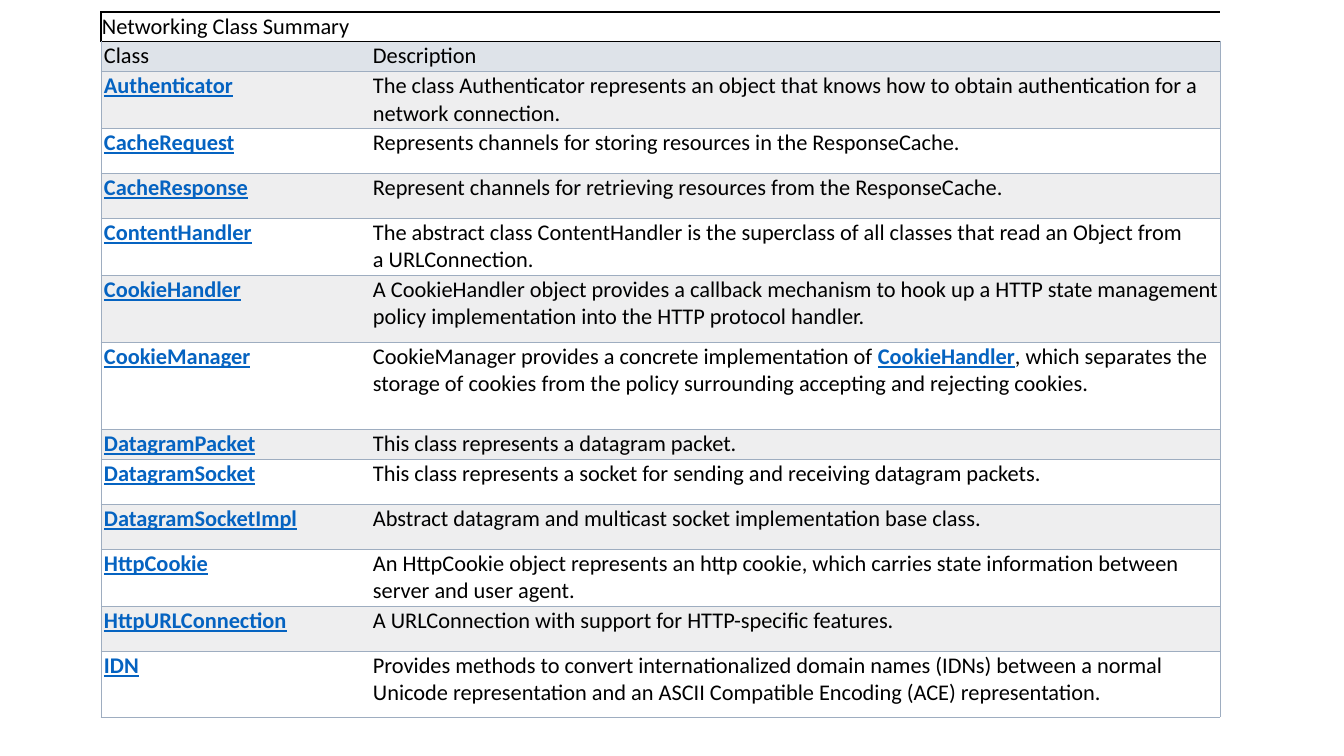
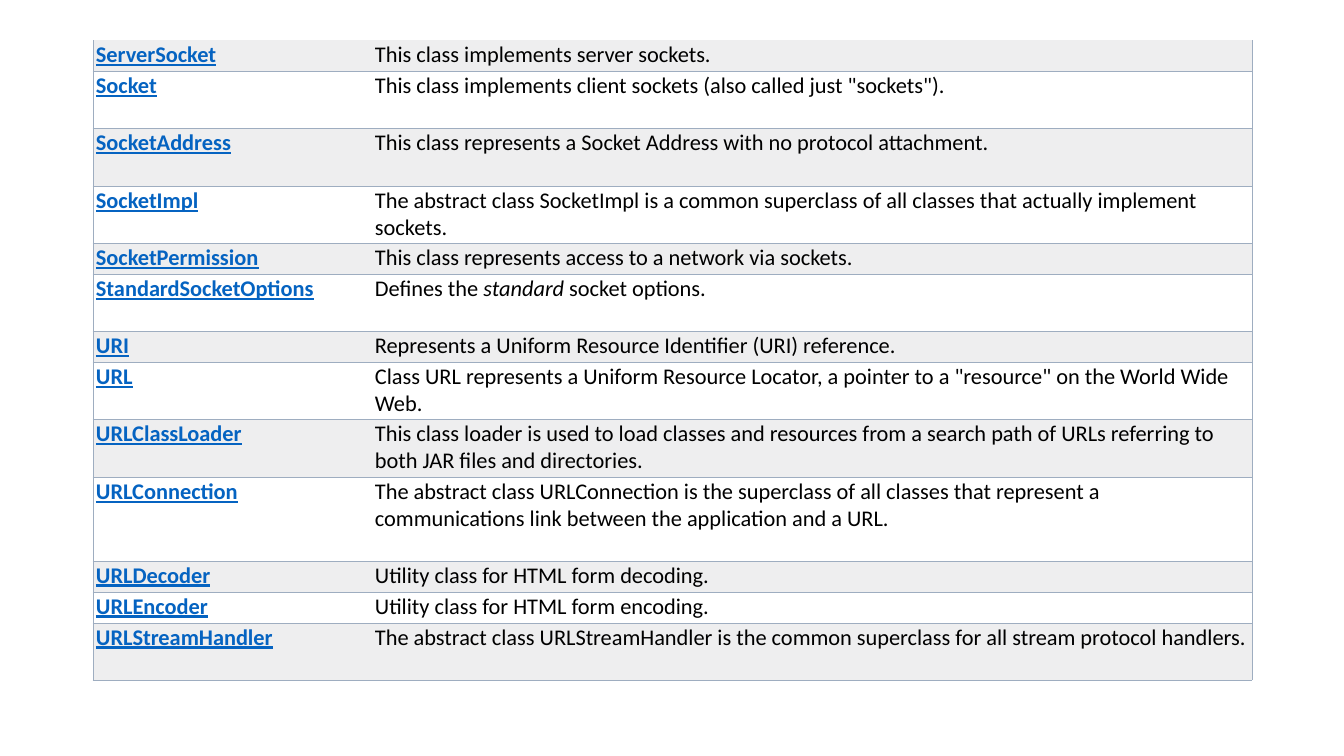
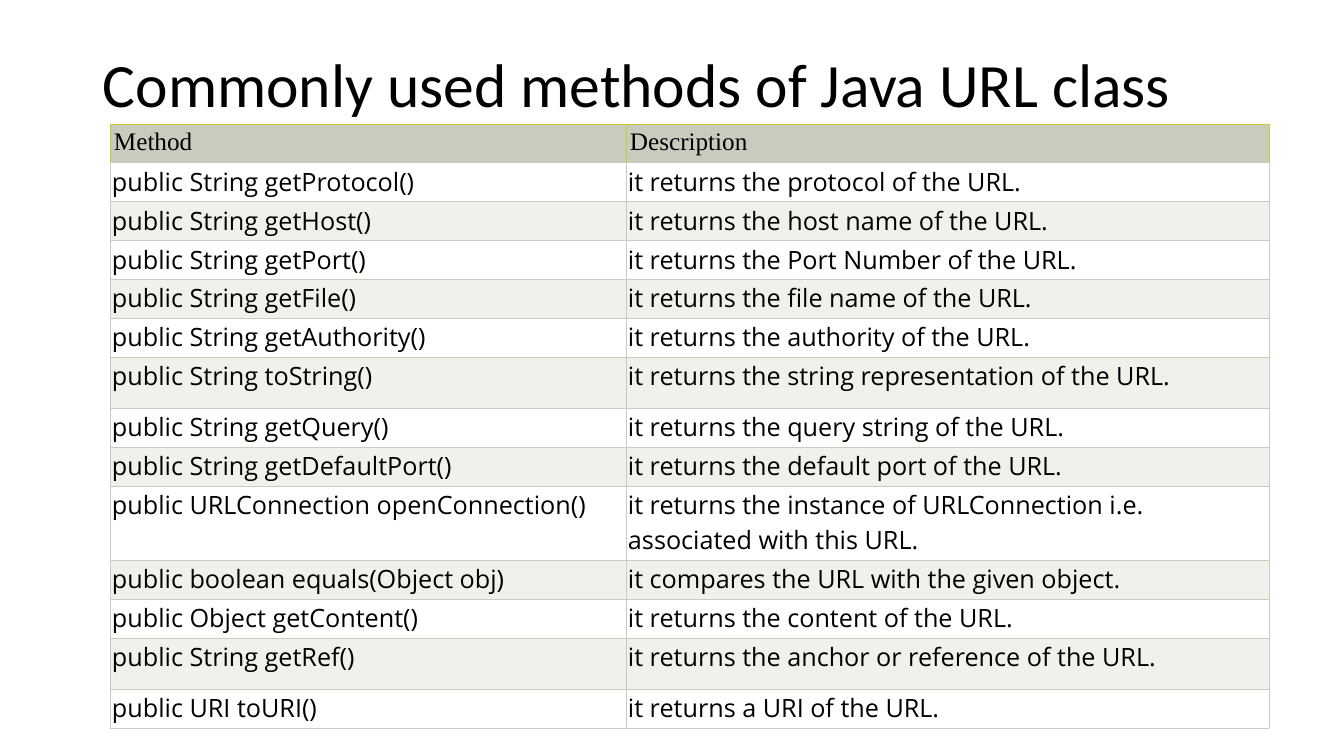
import dataclasses

import lxml.etree
import pptx
import pptx.dml.color
import pptx.enum.text
import pptx.oxml.ns
import pptx.util

EMU_PER_PIXEL = 914400 / 100.8
PLAIN_TABLE_STYLE = "{2D5ABB26-0587-4C30-8999-92F81FD0307C}"
BLACK, WHITE = "000000", "FFFFFF"
CLASS_RULE, CLASS_HEADER, CLASS_BANDS = "9EADC0", "DEE3E9", ("EEEEEF", WHITE)
METHOD_RULE, METHOD_HEADER_RULE, METHOD_BANDS = "C7CCBE", "D0C72D", (WHITE, "EFF1EB")

BODY = {"name": "Calibri", "size": pptx.util.Pt(16), "color": BLACK}
LINK = BODY | {"color": "0563C1", "bold": True, "underline": True}
ITALIC = BODY | {"italic": True}
TITLE = BODY | {"size": pptx.util.Pt(44)}
METHOD = BODY | {"name": "Open Sans", "size": pptx.util.Pt(18)}
METHOD_HEADER = METHOD | {"name": "Times New Roman"}


@dataclasses.dataclass
class Row:
    """One table row: height and margin in pixels, with a format and edges per column."""
    height: int
    cells: tuple
    fill: str
    formats: tuple
    edges: tuple
    margins: tuple
    merged: bool = False


def pixels(length):
    """Turn whole pixels into EMU."""
    return pptx.util.Emu(round(length * EMU_PER_PIXEL))


def rgb(color):
    """Turn a hex string into a colour."""
    return pptx.dml.color.RGBColor.from_string(color)


def set_attributes(target, values):
    """Set each named value on the target."""
    for name, value in values.items():
        setattr(target, name, value)


def write_runs(paragraph, content, text_format):
    """Write a string, or a list of (text, format) pairs, as runs."""
    runs = [(content, text_format)] if isinstance(content, str) else content
    for text, run_format in runs:
        run = paragraph.add_run()
        run.text = text
        set_attributes(run.font, {k: v for k, v in run_format.items() if k != "color"})
        run.font.color.rgb = rgb(run_format["color"])


def edges(sides, color, points=0.5):
    """Map each side letter to a colour and a width."""
    return {side: (color, points) for side in sides}


def draw_edges(cell, cell_edges):
    """Add the border lines of one cell."""
    properties = cell._tc.get_or_add_tcPr()
    for side in "LRTB":
        if side in cell_edges:
            color, points = cell_edges[side]
            line = lxml.etree.SubElement(
                properties, pptx.oxml.ns.qn(f"a:ln{side}"), w=str(pptx.util.Pt(points)))
            fill = lxml.etree.SubElement(line, pptx.oxml.ns.qn("a:solidFill"))
            lxml.etree.SubElement(fill, pptx.oxml.ns.qn("a:srgbClr"), val=color)


def draw_cell(cell, content, row, column):
    """Fill one cell with its text, margins, borders and colour."""
    horizontal, vertical = row.margins
    set_attributes(cell, {
        "margin_left": pixels(horizontal), "margin_right": pixels(vertical),
        "margin_top": pixels(vertical), "margin_bottom": pixels(vertical)})
    draw_edges(cell, row.edges[column])
    cell.fill.solid()
    cell.fill.fore_color.rgb = rgb(row.fill)
    if content:
        write_runs(cell.text_frame.paragraphs[0], content, row.formats[column])


def draw_table(slide, left, top, widths, rows):
    """Place a table whose size follows from its columns and rows."""
    height = sum(row.height for row in rows)
    frame = slide.shapes.add_table(
        len(rows), len(widths), *map(pixels, (left, top, sum(widths), height)))
    table = frame.table
    set_attributes(table, {"first_row": False, "horz_banding": False})
    table._tbl.tblPr.find(pptx.oxml.ns.qn("a:tableStyleId")).text = PLAIN_TABLE_STYLE
    for column, width in zip(table.columns, widths):
        column.width = pixels(width)
    for index, row in enumerate(rows):
        table.rows[index].height = pixels(row.height)
        for column, content in enumerate(row.cells):
            draw_cell(table.cell(index, column), content, row, column)
        if row.merged:
            table.cell(index, 0).merge(table.cell(index, len(widths) - 1))
            table.cell(index, 0).vertical_anchor = pptx.enum.text.MSO_ANCHOR.MIDDLE


def draw_title(slide, left, top, width, height, text):
    """Place the slide title."""
    frame = slide.shapes.add_textbox(*map(pixels, (left, top, width, height))).text_frame
    set_attributes(frame, {
        "word_wrap": True, "vertical_anchor": pptx.enum.text.MSO_ANCHOR.MIDDLE})
    frame.paragraphs[0].line_spacing = 0.9
    write_runs(frame.paragraphs[0], text, TITLE)


def class_rows(entries, top_edge=True):
    """Build banded rows of class names and descriptions."""
    rows = []
    for index, (height, *cells) in enumerate(entries):
        top = "T" if top_edge or index else ""
        rows.append(Row(
            height, cells, CLASS_BANDS[index % 2], (LINK, BODY),
            (edges("LB" + top, CLASS_RULE), edges("RB" + top, CLASS_RULE)), (3, 1)))
    return rows


def class_heading_rows(heading):
    """Build the merged heading row and the column names."""
    return [
        Row(29, (heading, ""), WHITE, (BODY, BODY),
            (edges("LTB", BLACK, 1), edges("RTB", BLACK, 1)), (1, 1), merged=True),
        Row(30, ("Class", "Description"), CLASS_HEADER, (BODY, BODY),
            (edges("LB", CLASS_RULE), edges("RB", CLASS_RULE)), (3, 1))]


def method_rows(entries):
    """Build the column names and banded rows of methods."""
    header_edges = edges("LTR", METHOD_HEADER_RULE) | edges("B", METHOD_RULE)
    rows = [Row(36, ("Method", "Description"), METHOD_RULE, (METHOD_HEADER,) * 2,
                (header_edges,) * 2, (4, 4))]
    for index, (height, *cells) in enumerate(entries):
        rows.append(Row(height, cells, METHOD_BANDS[index % 2], (METHOD,) * 2,
                        (edges("LRTB", METHOD_RULE),) * 2, (2, 2)))
    return rows


NETWORKING_CLASSES = [
    (57, "Authenticator", "The class Authenticator represents an object that knows how to "
     "obtain authentication for a network connection."),
    (45, "CacheRequest", "Represents channels for storing resources in the ResponseCache."),
    (45, "CacheResponse",
     "Represent channels for retrieving resources from the ResponseCache."),
    (57, "ContentHandler", "The abstract class\u00a0ContentHandler\u00a0is the superclass of "
     "all classes that read an\u00a0Object\u00a0from a\u00a0URLConnection."),
    (67, "CookieHandler", "A CookieHandler object provides a callback mechanism to hook up a "
     "HTTP state management policy implementation into the HTTP protocol handler."),
    (87, "CookieManager", [
        ("CookieManager provides a concrete implementation of\u00a0", BODY),
        ("CookieHandler", LINK),
        (", which separates the storage of cookies from the policy surrounding accepting "
         "and rejecting cookies.", BODY)]),
    (30, "DatagramPacket", "This class represents a datagram packet."),
    (45, "DatagramSocket",
     "This class represents a socket for sending and receiving datagram packets."),
    (45, "DatagramSocketImpl",
     "Abstract datagram and multicast socket implementation base class."),
    (57, "HttpCookie", "An HttpCookie object represents an http cookie, which carries state "
     "information between server and user agent."),
    (45, "HttpURLConnection", "A URLConnection with support for HTTP-specific features."),
    (66, "IDN", "Provides methods to convert internationalized domain names (IDNs) between a "
     "normal Unicode representation and an ASCII Compatible Encoding (ACE) representation."),
]

SOCKET_AND_URL_CLASSES = [
    (31, "ServerSocket", "This class implements server sockets."),
    (57, "Socket", 'This class implements client sockets (also called just "sockets").'),
    (58, "SocketAddress",
     "This class represents a Socket Address with no protocol attachment."),
    (57, "SocketImpl", "The abstract class\u00a0SocketImpl\u00a0is a common superclass of all "
     "classes that actually implement sockets."),
    (31, "SocketPermission", "This class represents access to a network via sockets."),
    (57, "StandardSocketOptions", [
        ("Defines the\u00a0", BODY), ("standard", ITALIC), ("\u00a0socket options.", BODY)]),
    (31, "URI", "Represents a Uniform Resource Identifier (URI) reference."),
    (57, "URL", "Class\u00a0URL\u00a0represents a Uniform Resource Locator, a pointer to a "
     '"resource" on the World Wide Web.'),
    (58, "URLClassLoader", "This class loader is used to load classes and resources from a "
     "search path of URLs referring to both JAR files and directories."),
    (84, "URLConnection", "The abstract class\u00a0URLConnection\u00a0is the superclass of all "
     "classes that represent a communications link between the application and a URL."),
    (31, "URLDecoder", "Utility class for HTML form decoding."),
    (31, "URLEncoder", "Utility class for HTML form encoding."),
    (57, "URLStreamHandler", "The abstract class\u00a0URLStreamHandler\u00a0is the common "
     "superclass for all stream protocol handlers."),
]

URL_METHODS = [
    (39, "public String getProtocol()", "it returns the protocol of the URL."),
    (39, "public String getHost()", "it returns the host name of the URL."),
    (39, "public String getPort()", "it returns the Port Number of the URL."),
    (39, "public String getFile()", "it returns the file name of the URL."),
    (39, "public String getAuthority()", "it returns the authority of the URL."),
    (51, "public String toString()", "it returns the string representation of the URL."),
    (39, "public String getQuery()", "it returns the query string of the URL."),
    (39, "public String getDefaultPort()", "it returns the default port of the URL."),
    (74, "public URLConnection openConnection()",
     "it returns the instance of URLConnection i.e. associated with this URL."),
    (39, "public boolean equals(Object obj)", "it compares the URL with the given object."),
    (39, "public Object getContent()", "it returns the content of the URL."),
    (51, "public String getRef()", "it returns the anchor or reference of the URL."),
    (39, "public URI toURI()", "it returns a URI of the URL."),
]


def main():
    """Build and save the three slides."""
    presentation = pptx.Presentation()
    set_attributes(presentation, {"slide_width": pixels(1344), "slide_height": pixels(756)})
    blank = presentation.slide_layouts[6]
    summary, continuation, methods = (presentation.slides.add_slide(blank) for _ in range(3))
    draw_table(summary, 101, 12, (269, 850),
               class_heading_rows("Networking Class Summary") + class_rows(NETWORKING_CLASSES))
    draw_table(continuation, 93, 40, (279, 880),
               class_rows(SOCKET_AND_URL_CLASSES, top_edge=False))
    draw_title(methods, 93, 40, 1159, 95, "Commonly used methods of Java URL class")
    draw_table(methods, 110, 124, (516, 643), method_rows(URL_METHODS))
    presentation.save("out.pptx")


main()
